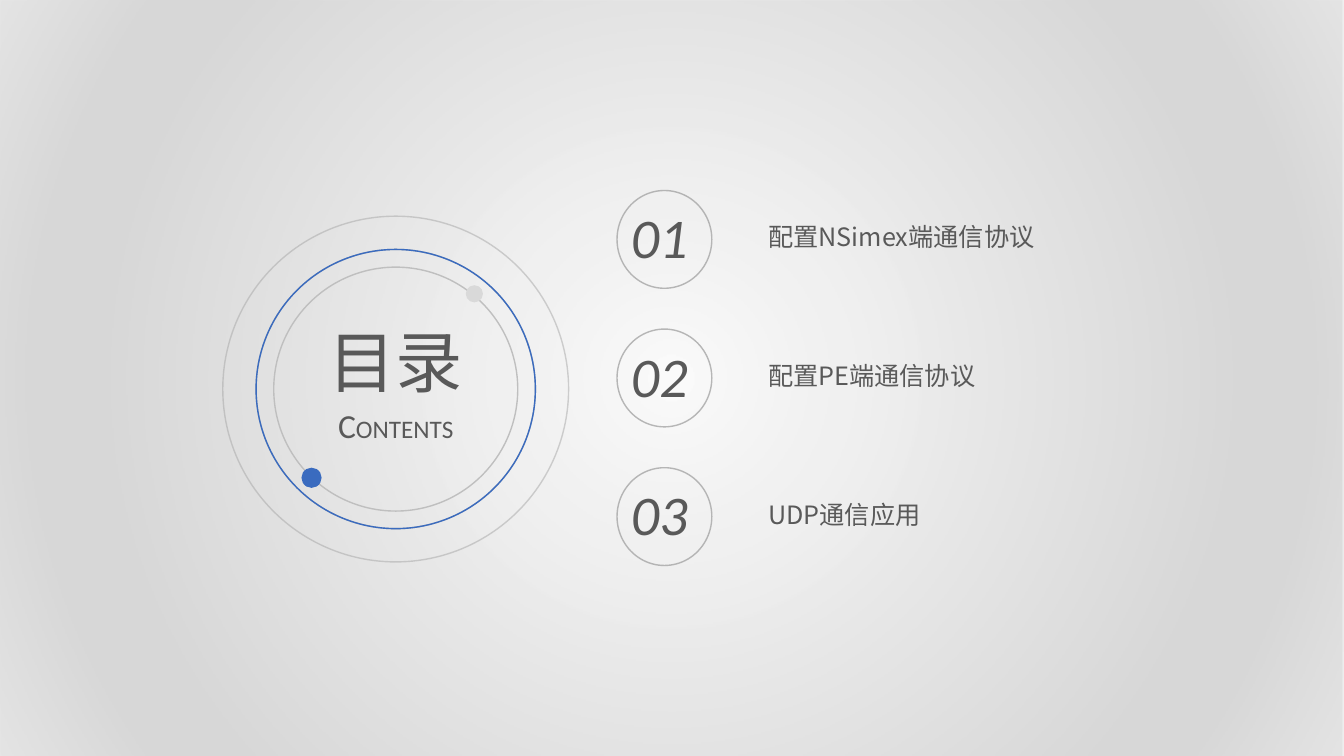
"""Build a contents slide with a ringed title and three numbered topics."""
import pptx
import pptx.util
import pptx.dml.color
import pptx.enum.shapes
import pptx.enum.text
import pptx.oxml
import pptx.oxml.ns
from lxml import etree

Inches = pptx.util.Inches
Pt = pptx.util.Pt
RGBColor = pptx.dml.color.RGBColor
MSO_SHAPE = pptx.enum.shapes.MSO_SHAPE
PP_ALIGN = pptx.enum.text.PP_ALIGN
qn = pptx.oxml.ns.qn

TEXT = RGBColor(0x59, 0x59, 0x59)
BLUE = RGBColor(0x3A, 0x6B, 0xBF)
GRAY = RGBColor(0xA6, 0xA6, 0xA6)
SILVER = RGBColor(0xBF, 0xBF, 0xBF)
PALE = RGBColor(0xD9, 0xD9, 0xD9)
LATIN = "Calibri"
CJK = "Noto Sans CJK SC"
GRADIENT = f"""<a:gradFill {pptx.oxml.ns.nsdecls('a')} rotWithShape="1"><a:gsLst>
<a:gs pos="0"><a:srgbClr val="FAFAFA"><a:alpha val="90000"/></a:srgbClr></a:gs>
<a:gs pos="74000"><a:srgbClr val="D7D7D7"/></a:gs>
<a:gs pos="83000"><a:srgbClr val="D7D7D7"/></a:gs>
<a:gs pos="100000"><a:srgbClr val="E4E4E4"/></a:gs></a:gsLst>
<a:path path="circle"><a:fillToRect l="50000" t="50000" r="50000" b="50000"/></a:path>
</a:gradFill>"""

prs = pptx.Presentation()
prs.slide_width = Inches(13.33)
prs.slide_height = Inches(7.5)
s = prs.slides.add_slide(prs.slide_layouts[6])


def add_ellipse(x, y, w, h, fill=None, line=None, opacity=100):
    sp = s.shapes.add_shape(MSO_SHAPE.OVAL, Inches(x), Inches(y), Inches(w), Inches(h))
    sp.shadow.inherit = False
    if fill is None:
        sp.fill.background()
    else:
        sp.fill.solid()
        sp.fill.fore_color.rgb = fill
    if line is None:
        sp.line.fill.background()
        return
    sp.line.color.rgb = line
    sp.line.width = Pt(1)
    if opacity < 100:
        clr = sp.line._get_or_add_ln().find(".//" + qn("a:srgbClr"))
        etree.SubElement(clr, qn("a:alpha")).set("val", str(opacity * 1000))


def add_text(x, y, w, h, runs, font=LATIN, align=PP_ALIGN.LEFT, wrap=True, italic=False):
    tf = s.shapes.add_textbox(Inches(x), Inches(y), Inches(w), Inches(h)).text_frame
    tf.word_wrap = wrap
    p = tf.paragraphs[0]
    p.alignment = align
    for text, size in runs:
        r = p.add_run()
        r.text = text
        r.font.size = Pt(size)
        r.font.name = font
        r.font.italic = italic
        r.font.color.rgb = TEXT
        latin = r.font._element.find(qn("a:latin"))
        ea = latin.makeelement(qn("a:ea"), {"typeface": CJK})
        latin.addnext(ea)


backdrop = s.shapes.add_shape(MSO_SHAPE.RECTANGLE, 0, 0, prs.slide_width, prs.slide_height)
backdrop.shadow.inherit = False
backdrop.line.fill.background()
backdrop.fill.background()
no_fill = backdrop._element.spPr.find(qn("a:noFill"))
no_fill.getparent().replace(no_fill, pptx.oxml.parse_xml(GRADIENT))

center_x, center_y = 3.925, 3.86
for diameter, color, opacity in [
    (2.42, SILVER, 100),
    (2.77, GRAY, 70),
    (2.77, BLUE, 100),
    (3.43, GRAY, 50),
]:
    add_ellipse(center_x - diameter / 2, center_y - diameter / 2,
                diameter, diameter, line=color, opacity=opacity)

add_text(2.79, 3.13, 2.27, 0.91, [("目录", 48)], align=PP_ALIGN.CENTER)
add_ellipse(2.99, 4.64, 0.2, 0.2, fill=BLUE)
add_ellipse(4.62, 2.83, 0.17, 0.17, fill=PALE)
add_text(3.18, 3.97, 1.49, 0.5, [("C", 24), ("ONTENTS", 18)],
         align=PP_ALIGN.CENTER, wrap=False)

topics = ["配置NSimex端通信协议", "配置PE端通信协议", "UDP通信应用"]
row_step = 1.375
for i, topic in enumerate(topics):
    top = 1.89 + i * row_step
    add_text(7.52, top + 0.26, 3.59, 0.4, [(topic, 18)], font=CJK)
    add_text(6.16, top + 0.07, 0.89, 0.77, [(f"{i + 1:02d}", 40)], italic=True)
    add_ellipse(6.12, top, 0.94, 0.97, line=GRAY, opacity=80)

prs.save("out.pptx")
